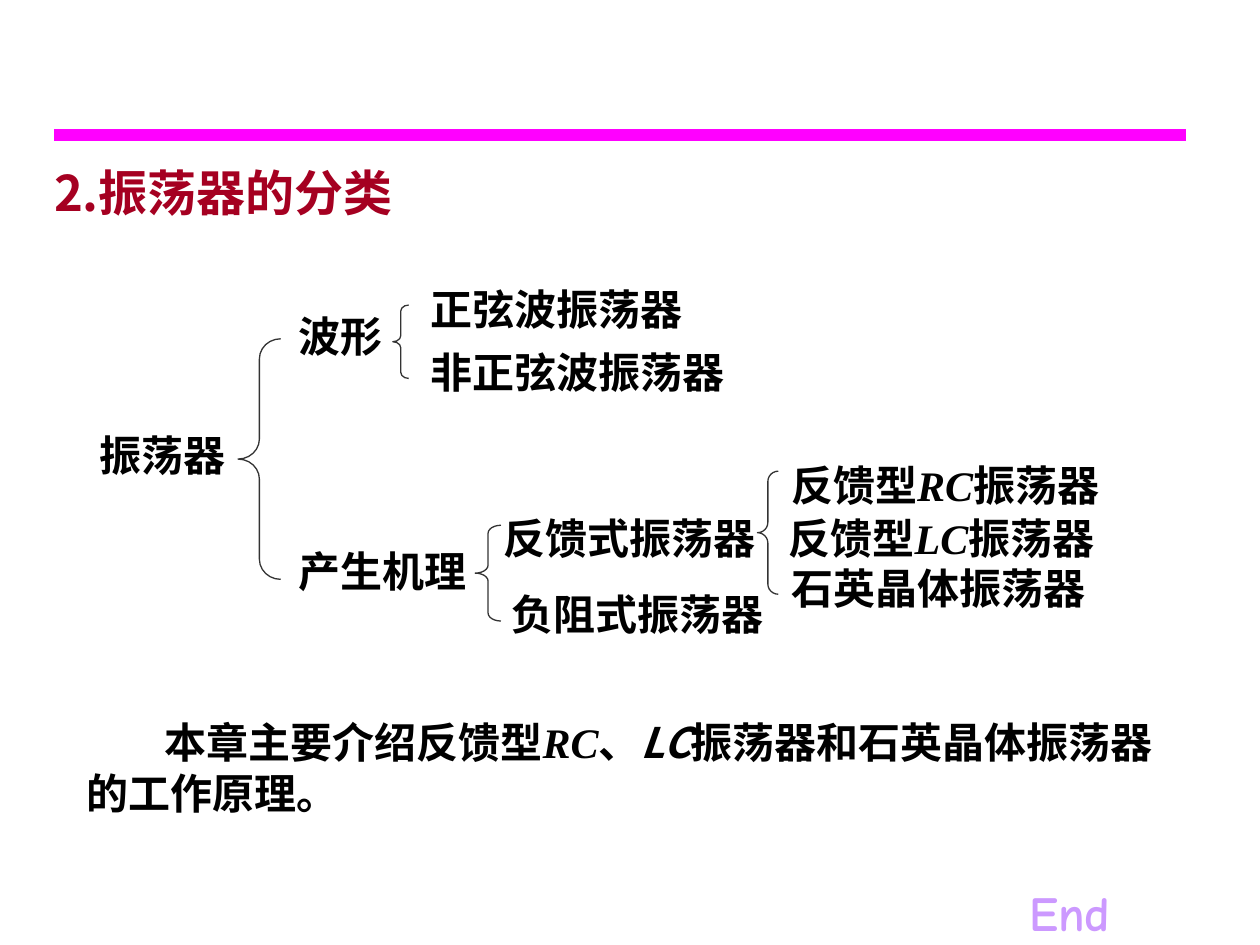
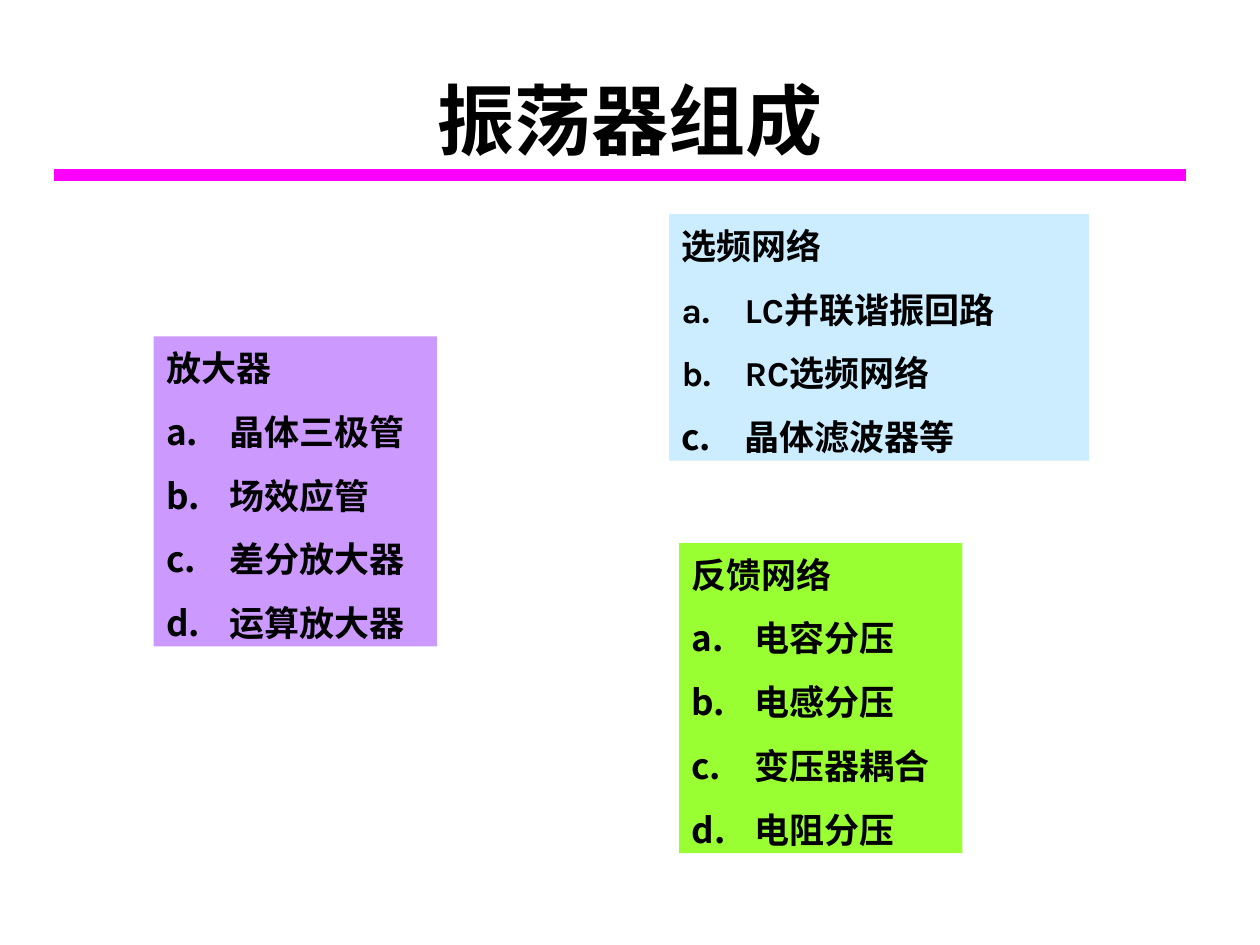
from lxml.etree import SubElement
from pptx import Presentation
from pptx.dml.color import RGBColor
from pptx.enum.shapes import MSO_CONNECTOR, MSO_SHAPE
from pptx.enum.text import MSO_ANCHOR, MSO_AUTO_SIZE, PP_ALIGN
from pptx.oxml.ns import qn
from pptx.util import Cm, Pt

# Colours and fonts
BLACK, MAGENTA, CRIMSON = "000000", "FF00FF", "A50021"
LILAC, PALE_BLUE, LIME, DARK_GREY = "CC99FF", "CCECFF", "99FF33", "333333"
CJK, SERIF, SANS = "Noto Sans CJK SC", "Times New Roman", "Karla"

HEADING = {"size": 28, "name": CJK, "color": CRIMSON}
TITLE = {"size": 44, "name": "Arial", "color": BLACK}
BODY = {"size": 24, "name": SERIF, "color": BLACK}
LIST = {"size": 20, "name": SANS, "color": BLACK}
END = {"size": 28, "name": "Comic Neue", "color": LILAC}
ITALIC = {"italic": True}

# Content; all lengths in centimetres
CLASSES_TITLE = "2.振荡器的分类"
CLASSES = [  # runs, left, top, width
    (["振荡器"], 1.75, 8.46, 3.81),
    (["波形"], 5.77, 6.05, 3.12),
    (["正弦波振荡器"], 8.43, 5.51, 6.81),
    (["非正弦波振荡器"], 8.43, 6.78, 7.67),
    (["产生机理"], 5.77, 10.8, 4.6),
    (["反馈式振荡器"], 9.91, 10.13, 6.63),
    (["负阻式振荡器"], 10.06, 11.66, 6.63),
    (["反馈型", ("RC", ITALIC), "振荡器"], 15.7, 9.07, 7.42),
    (["反馈型", ("LC", ITALIC), "振荡器"], 15.65, 10.13, 7.47),
    (["石英晶体振荡器"], 15.7, 11.13, 7.82),
]
BRACES = [  # left, top, width, height
    (4.8, 6.83, 0.86, 4.85),
    (7.92, 6.15, 0.32, 1.48),
    (9.58, 10.59, 0.52, 1.93),
    (15.27, 9.5, 0.42, 2.48),
]
SUMMARY = ["本章主要介绍反馈型", ("RC", ITALIC), "、",
           ("LC", {"italic": True, "name": CJK}),
           "振荡器和石英晶体振荡器的工作原理。"]

PARTS_TITLE = "振荡器组成"
PARTS = [  # heading, items, fill, box
    ("放大器", ["晶体三极管", "场效应管", "差分放大器", "运算放大器"],
     LILAC, (3.1, 6.78, 5.71, 6.25)),
    ("选频网络", ["LC并联谐振回路", "RC选频网络", "晶体滤波器等"],
     PALE_BLUE, (13.49, 4.32, 8.46, 4.97)),
    ("反馈网络", ["电容分压", "电感分压", "变压器耦合", "电阻分压"],
     LIME, (13.69, 10.95, 5.71, 6.25)),
]


def rgb(color):
    return RGBColor.from_string(color)


def cms(box):
    return [Cm(length) for length in box]


def write(paragraph, runs, style, line_spacing=1.2):
    """Add runs (a string, or a string with its own format) at a fixed line pitch."""
    if line_spacing:
        paragraph.line_spacing = Pt(style["size"] * line_spacing)
    for part in runs:
        text, extra = (part, {}) if isinstance(part, str) else part
        run = paragraph.add_run()
        run.text = text
        look = {**style, "bold": True, **extra}
        run.font.color.rgb = rgb(look.pop("color"))
        look["size"] = Pt(look["size"])
        for key, value in look.items():
            setattr(run.font, key, value)
        SubElement(run.font._element, qn("a:ea"), typeface=CJK)


def prepare(frame, anchor=MSO_ANCHOR.TOP):
    settings = {"word_wrap": True, "auto_size": MSO_AUTO_SIZE.NONE,
                "vertical_anchor": anchor, "margin_left": Cm(0.25),
                "margin_right": Cm(0.25), "margin_top": Cm(0.2),
                "margin_bottom": Cm(0.13)}
    for key, value in settings.items():
        setattr(frame, key, value)


def add_text(slide, runs, style, box):
    frame = slide.shapes.add_textbox(*cms(box)).text_frame
    prepare(frame)
    write(frame.paragraphs[0], runs, style)
    return frame.paragraphs[0]


def start_slide(deck, title, style, box, align, anchor, line_spacing, rule_top):
    """Add a slide with its title and the magenta rule."""
    slide = deck.slides.add_slide(deck.slide_layouts[5])
    heading = slide.shapes.title
    heading.left, heading.top, heading.width, heading.height = cms(box)
    prepare(heading.text_frame, anchor)
    paragraph = heading.text_frame.paragraphs[0]
    paragraph.alignment = align
    write(paragraph, [title], style, line_spacing)

    rule = slide.shapes.add_connector(
        MSO_CONNECTOR.STRAIGHT, *cms((1.09, rule_top, 23.9, rule_top)))
    rule.line.color.rgb = rgb(MAGENTA)
    rule.line.width = Pt(7)
    SubElement(rule._element.spPr, qn("a:effectLst"))
    return slide


def add_brace(slide, box):
    brace = slide.shapes.add_shape(MSO_SHAPE.LEFT_BRACE, *cms(box))
    brace.shadow.inherit = False
    brace.fill.background()
    brace.line.color.rgb = rgb(DARK_GREY)
    brace.line.width = Pt(0.75)
    width, height = box[2:]
    brace.adjustments[0] = height / 12 / width


def number_item(paragraph):
    """Letter the paragraph a., b., c. in black."""
    properties = paragraph._p.get_or_add_pPr()
    color = SubElement(properties, qn("a:buClr"))
    SubElement(color, qn("a:srgbClr"), val=BLACK)
    SubElement(properties, qn("a:buAutoNum"), type="alphaLcPeriod")


def add_part(slide, heading, items, fill, box):
    panel = slide.shapes.add_shape(MSO_SHAPE.RECTANGLE, *cms(box))
    panel.shadow.inherit = False
    panel.fill.solid()
    panel.fill.fore_color.rgb = rgb(fill)
    panel.line.fill.background()
    frame = panel.text_frame
    prepare(frame)
    frame.paragraphs[0].alignment = PP_ALIGN.LEFT
    write(frame.paragraphs[0], [heading], LIST)
    for item in items:
        paragraph = frame.add_paragraph()
        number_item(paragraph)
        properties = paragraph._p.get_or_add_pPr()
        properties.set("marL", str(Cm(1.27)))
        properties.set("indent", str(-Cm(1.27)))
        paragraph.alignment = PP_ALIGN.LEFT
        paragraph.space_before = Pt(12.5)
        write(paragraph, [item], LIST)


def build_classes(deck):
    slide = start_slide(deck, CLASSES_TITLE, HEADING, (0.84, 3.07, 8.89, 1.45),
                        PP_ALIGN.LEFT, MSO_ANCHOR.TOP, 1.2, 2.72)
    for runs, left, top, width in CLASSES:
        add_text(slide, runs, BODY, (left, top, width, 1.27))
    for box in BRACES:
        add_brace(slide, box)
    summary = add_text(slide, SUMMARY, BODY, (1.5, 14.25, 22.23, 2.29))
    summary._p.get_or_add_pPr().set("indent", str(Cm(1.57)))
    add_text(slide, ["End"], END, (20.5, 17.6, 2.87, 1.45))


def build_parts(deck):
    slide = start_slide(deck, PARTS_TITLE, TITLE, (1.27, 0.76, 22.86, 3.18),
                        PP_ALIGN.CENTER, MSO_ANCHOR.MIDDLE, None, 3.53)
    for part in PARTS:
        add_part(slide, *part)


def main():
    deck = Presentation()
    deck.slide_width, deck.slide_height = Cm(25.4), Cm(19.05)
    build_classes(deck)
    build_parts(deck)
    deck.save("out.pptx")


if __name__ == "__main__":
    main()
